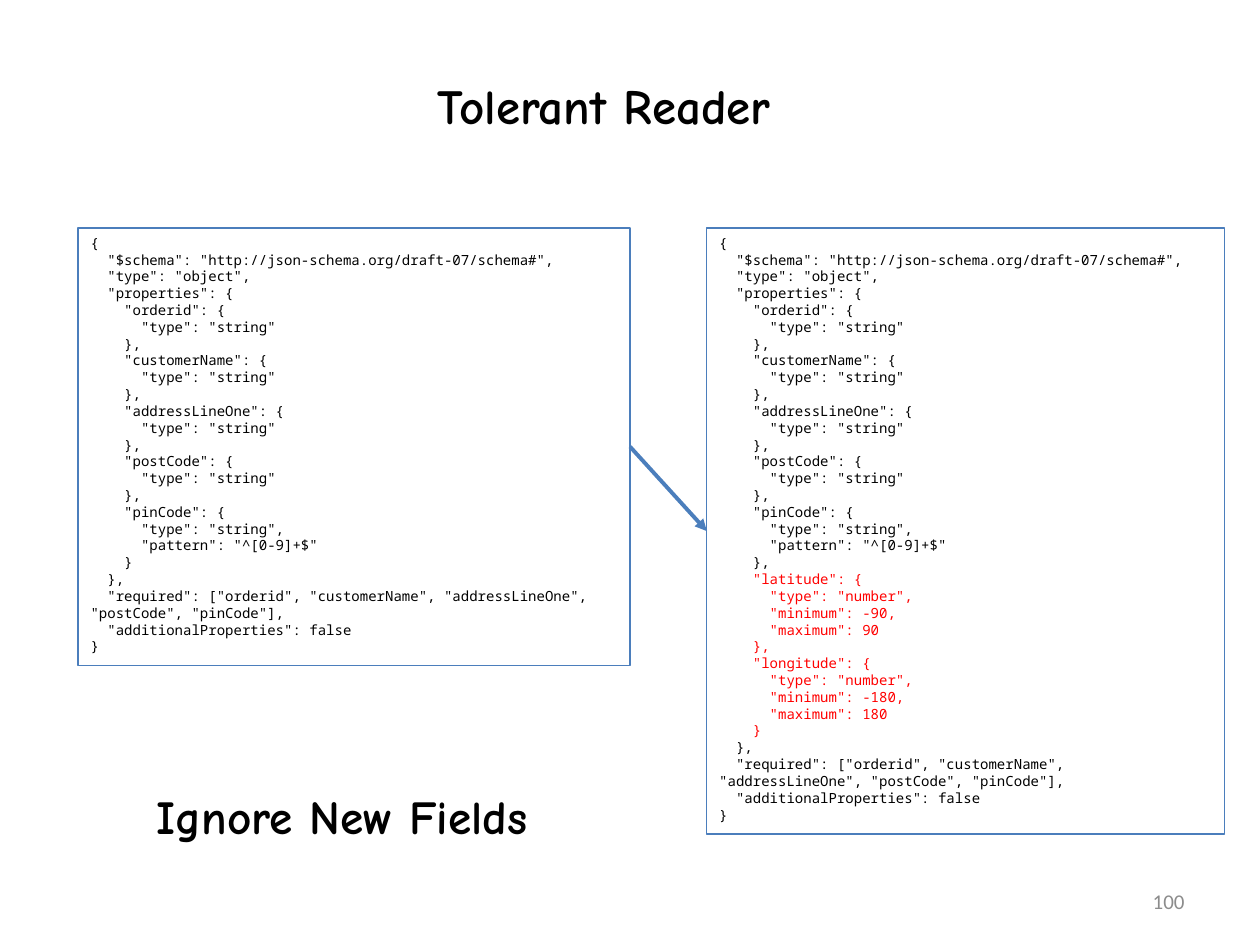
"""Build the Tolerant Reader slide comparing two JSON schema versions."""
import pptx
import pptx.dml.color
import pptx.enum.shapes
import pptx.enum.text
import pptx.oxml
import pptx.oxml.ns
import pptx.util
from dataclasses import dataclass

Inches, Pt = pptx.util.Inches, pptx.util.Pt
ALIGN, ANCHOR = pptx.enum.text.PP_ALIGN, pptx.enum.text.MSO_ANCHOR


@dataclass(frozen=True)
class Theme:
    ink: str = "000000"
    added: str = "FF0000"
    accent: str = "4B7EBC"
    muted: str = "8C8C8C"
    heading_font: str = "Comic Neue"
    code_font: str = "Noto Sans Mono"
    number_font: str = "Calibri"
    title_size: float = 28
    message_size: float = 27
    number_size: float = 12
    code_size: float = 8
    code_pitch: float = 9.6
    border: float = 0.75
    arrow: float = 2.25


THEME = Theme()
TITLE = "Tolerant Reader"
MESSAGE = "Ignore New Fields"
NUMBER = "100"
OPENING = [
    '{',
    '  "$schema": "http://json-schema.org/draft-07/schema#",',
    '  "type": "object",',
    '  "properties": {',
]
FIELDS = [
    ("orderid", ['"type": "string"']),
    ("customerName", ['"type": "string"']),
    ("addressLineOne", ['"type": "string"']),
    ("postCode", ['"type": "string"']),
    ("pinCode", ['"type": "string"', '"pattern": "^[0-9]+$"']),
]
NEW_FIELDS = [
    ("latitude", ['"type": "number"', '"minimum": -90', '"maximum": 90']),
    ("longitude", ['"type": "number"', '"minimum": -180', '"maximum": 180']),
]
CLOSING = [
    '  },',
    '  "required": ["orderid", "customerName", "addressLineOne", "postCode", "pinCode"],',
    '  "additionalProperties": false',
    '}',
]
TITLE_BOX = (2.93, 0.55, 3.73, 0.57)
MESSAGE_BOX = (0.85, 6.2, 3.73, 0.56)
NUMBER_BOX = (7.17, 6.95, 2.33, 0.4)
OLD_BOX = (0.62, 1.81, 4.38, 3.47)
NEW_BOX = (5.61, 1.81, 4.11, 4.81)


def rgb(value):
    return pptx.dml.color.RGBColor.from_string(value)


def inches(box):
    return [Inches(v) for v in box]


def add_run(p, text, font, size, color, bold=False):
    r = p.add_run()
    r.text = text
    r.font.name, r.font.size, r.font.bold = font, Pt(size), bold
    r.font.color.rgb = rgb(color)


def write_line(sp, text, font, size, color, align, anchor, bold=False):
    tf = sp.text_frame
    tf.word_wrap, tf.vertical_anchor = True, anchor
    p = tf.paragraphs[0]
    p.alignment = align
    add_run(p, text, font, size, color, bold)


def schema_lines(new_fields=()):
    """Return (text, color) pairs for one schema."""
    fields = [(f, THEME.ink) for f in FIELDS] + [(f, THEME.added) for f in new_fields]
    lines = [(text, THEME.ink) for text in OPENING]
    for i, ((name, rules), color) in enumerate(fields):
        comma = "," if i < len(fields) - 1 else ""
        body = ",\n".join(" " * 6 + rule for rule in rules).split("\n")
        texts = [f'    "{name}": {{', *body, "    }" + comma]
        lines += [(text, color) for text in texts]
    return lines + [(text, THEME.ink) for text in CLOSING]


def add_schema(s, box, lines):
    sp = s.shapes.add_shape(pptx.enum.shapes.MSO_SHAPE.RECTANGLE, *inches(box))
    sp.shadow.inherit = False
    sp.fill.background()
    sp.line.color.rgb, sp.line.width = rgb(THEME.accent), Pt(THEME.border)
    tf = sp.text_frame
    tf.word_wrap, tf.vertical_anchor = True, ANCHOR.TOP
    for i, (text, color) in enumerate(lines):
        p = tf.add_paragraph() if i else tf.paragraphs[0]
        p.alignment, p.line_spacing = ALIGN.LEFT, Pt(THEME.code_pitch)
        add_run(p, text, THEME.code_font, THEME.code_size, color)
    return sp


def add_arrow(s, start, end):
    line = s.shapes.add_connector(pptx.enum.shapes.MSO_CONNECTOR.STRAIGHT, 0, 0, 0, 0)
    line.begin_connect(start, 3)
    line.end_connect(end, 1)
    line.line.color.rgb, line.line.width = rgb(THEME.accent), Pt(THEME.arrow)
    ns = pptx.oxml.ns.nsdecls("a")
    line.line._get_or_add_ln().append(
        pptx.oxml.parse_xml(f'<a:tailEnd {ns} type="triangle"/>'))
    line._element.spPr.append(pptx.oxml.parse_xml(f"<a:effectLst {ns}/>"))


def main():
    prs = pptx.Presentation()
    prs.slide_width, prs.slide_height = Inches(10), Inches(7.5)
    s = prs.slides.add_slide(prs.slide_layouts[5])

    title = s.shapes.title
    title.left, title.top, title.width, title.height = inches(TITLE_BOX)
    write_line(title, TITLE, THEME.heading_font, THEME.title_size, THEME.ink,
               ALIGN.CENTER, ANCHOR.TOP, True)
    number = s.shapes.add_textbox(*inches(NUMBER_BOX))
    write_line(number, NUMBER, THEME.number_font, THEME.number_size, THEME.muted,
               ALIGN.RIGHT, ANCHOR.MIDDLE)
    old = add_schema(s, OLD_BOX, schema_lines())
    new = add_schema(s, NEW_BOX, schema_lines(NEW_FIELDS))
    message = s.shapes.add_textbox(*inches(MESSAGE_BOX))
    write_line(message, MESSAGE, THEME.heading_font, THEME.message_size, THEME.ink,
               ALIGN.CENTER, ANCHOR.TOP, True)
    add_arrow(s, old, new)
    prs.save("out.pptx")


if __name__ == "__main__":
    main()
